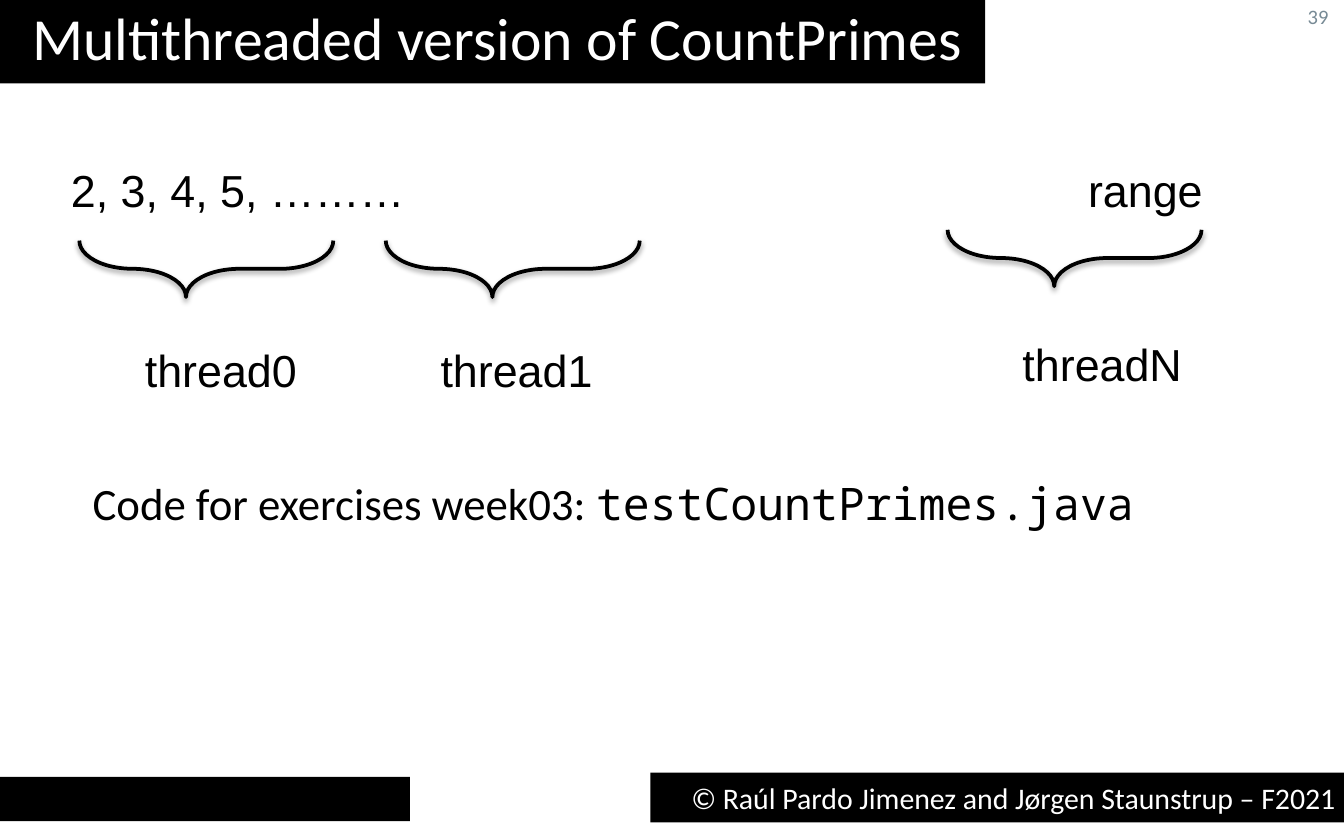
"""Builds the slide on splitting a number range between threads."""
from lxml import etree
from pptx import Presentation
from pptx.dml.color import RGBColor as RGB
from pptx.enum.shapes import MSO_SHAPE as SHAPE
from pptx.enum.text import MSO_ANCHOR as ANCHOR, PP_ALIGN as ALIGN
from pptx.oxml import parse_xml
from pptx.oxml.ns import nsdecls, qn
from pptx.util import Inches, Pt

COLORS = {"ink": "000000", "paper": "FFFFFF", "number": "778A95"}
COLS, ROWS = 100, 62.5
CELL = Inches(10) / COLS
BODY = {"size": Pt(24), "name": "Arial"}
SANS = {"size": Pt(24), "name": "Calibri"}
MONO = {"size": Pt(24), "name": "Noto Sans Mono"}


def grid(*cells):
    return [round(c * CELL) for c in cells]


def rgb(key):
    return RGB.from_string(COLORS[key])


def set_all(obj, values):
    for key, value in values.items():
        setattr(obj, key, value)


def write(sp, runs, color="ink", align=ALIGN.LEFT, **frame):
    tf = sp.text_frame
    set_all(tf, {"word_wrap": False, **frame})
    p = tf.paragraphs[0]
    p.alignment = align
    for text, font in runs:
        r = p.add_run()
        r.text = text
        set_all(r.font, font)
        r.font.color.rgb = rgb(color)
    return p


def add_text(s, at, runs, **options):
    return write(s.shapes.add_textbox(*grid(*at)), runs, **options)


def fill_black(sp):
    sp.fill.solid()
    sp.fill.fore_color.rgb = rgb("ink")


def add_bar(s, at):
    sp = s.shapes.add_shape(SHAPE.RECTANGLE, *grid(*at))
    sp.shadow.inherit = False
    fill_black(sp)
    sp.line.fill.background()
    return sp


def add_title(s, at, text):
    sp = s.shapes.title
    set_all(sp, dict(zip(("left", "top", "width", "height"), grid(*at))))
    fill_black(sp)
    write(sp, [(text, {**SANS, "size": Pt(32)})], "paper",
          vertical_anchor=ANCHOR.MIDDLE, margin_left=Inches(0.24),
          margin_right=Inches(0.1), margin_top=0, margin_bottom=Inches(0.08))


def add_right_tab(p, cells):
    tabs = etree.SubElement(p._p.get_or_add_pPr(), qn("a:tabLst"))
    etree.SubElement(tabs, qn("a:tab"), pos=str(grid(cells)[0]), algn="r")


def add_brace(s, left, top, span=18.9, depth=4.2):
    shift = (span - depth) / 2
    sp = s.shapes.add_shape(
        SHAPE.RIGHT_BRACE, *grid(left + shift, top - shift, depth, span))
    sp.rotation = 90
    sp.adjustments[0], sp.adjustments[1] = 1.3, 0.58
    sp.fill.background()
    sp.line.color.rgb = rgb("ink")
    sp.line.width = Pt(2)
    sp._element.spPr.append(parse_xml(
        f'<a:effectLst {nsdecls("a")}><a:outerShdw blurRad="{Pt(3.1)}" '
        f'dist="{Pt(1.6)}" dir="5400000" rotWithShape="0">'
        f'<a:srgbClr val="{COLORS["ink"]}"><a:alpha val="38000"/>'
        '</a:srgbClr></a:outerShdw></a:effectLst>'))


def main():
    prs = Presentation()
    prs.slide_width, prs.slide_height = grid(COLS, ROWS)
    s = prs.slides.add_slide(prs.slide_layouts[5])

    add_bar(s, (0, 57.8, 30.5, 3.3))
    footer = add_bar(s, (48.4, 57.5, 52, 3.7))
    write(footer, [("© Raúl Pardo Jimenez and Jørgen Staunstrup – F2021",
                    {**SANS, "size": Pt(16)})], "paper", ALIGN.RIGHT)
    add_title(s, (0, 0, 73.3, 6.2), "Multithreaded version of CountPrimes")
    add_text(s, (97.3, -0.4, 2.3, 3.3), [("39", {**SANS, "size": Pt(11)})],
             color="number", vertical_anchor=ANCHOR.MIDDLE, margin_left=0,
             margin_right=0, margin_top=0, margin_bottom=0)

    p = add_text(s, (4.3, 11.6, 88, 5),
                 [("2, 3, 4, 5, ………\trange", BODY)], word_wrap=True)
    add_right_tab(p, 84.2)

    threads = [("thread0", 5.9, 17.9, 9.8, 25, 13.4),
               ("thread1", 28.7, 17.9, 31.8, 25, 13.4),
               ("threadN", 70.5, 17.1, 75.1, 24.6, 14)]
    for name, brace_x, brace_y, x, y, width in threads:
        add_brace(s, brace_x, brace_y)
        add_text(s, (x, y, width, 5), [(name, BODY)])

    add_text(s, (5.9, 34.9, 80.1, 5),
             [("Code for exercises week03: ", SANS),
              ("testCountPrimes.java", MONO)])
    prs.save("out.pptx")


main()
